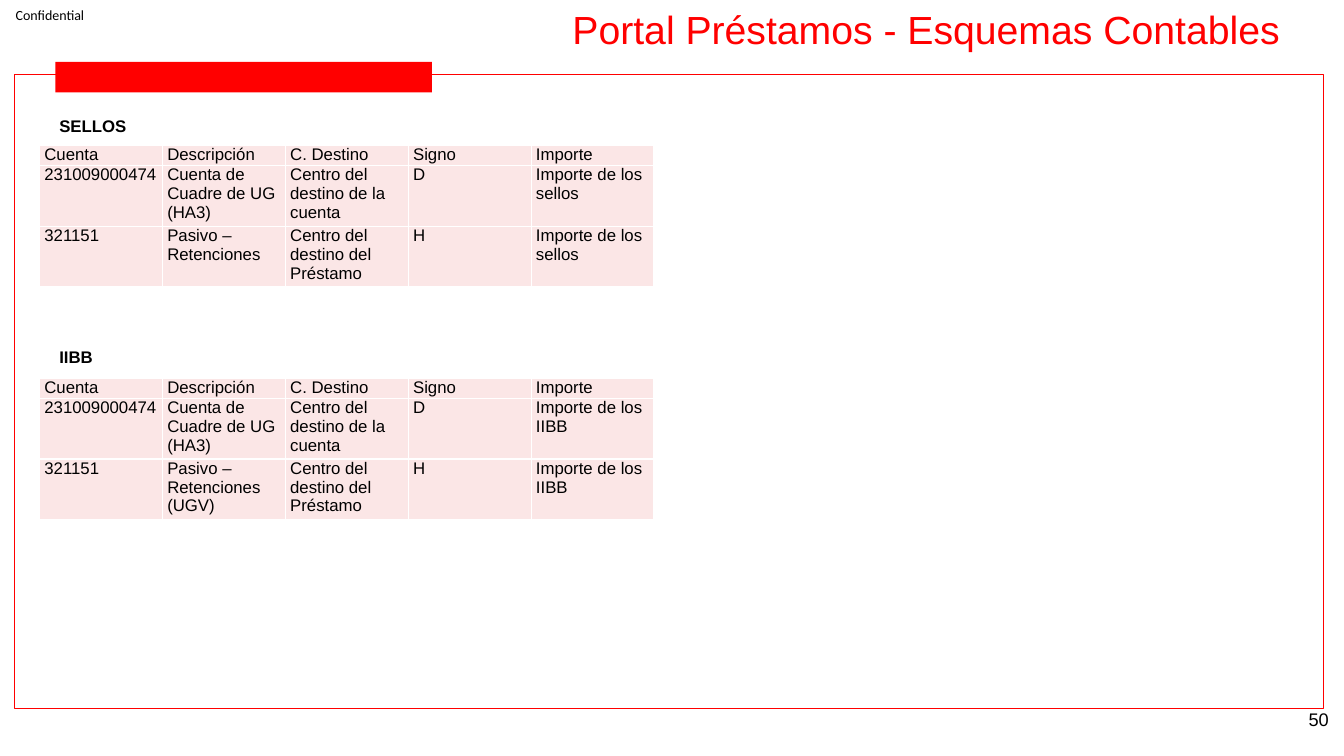
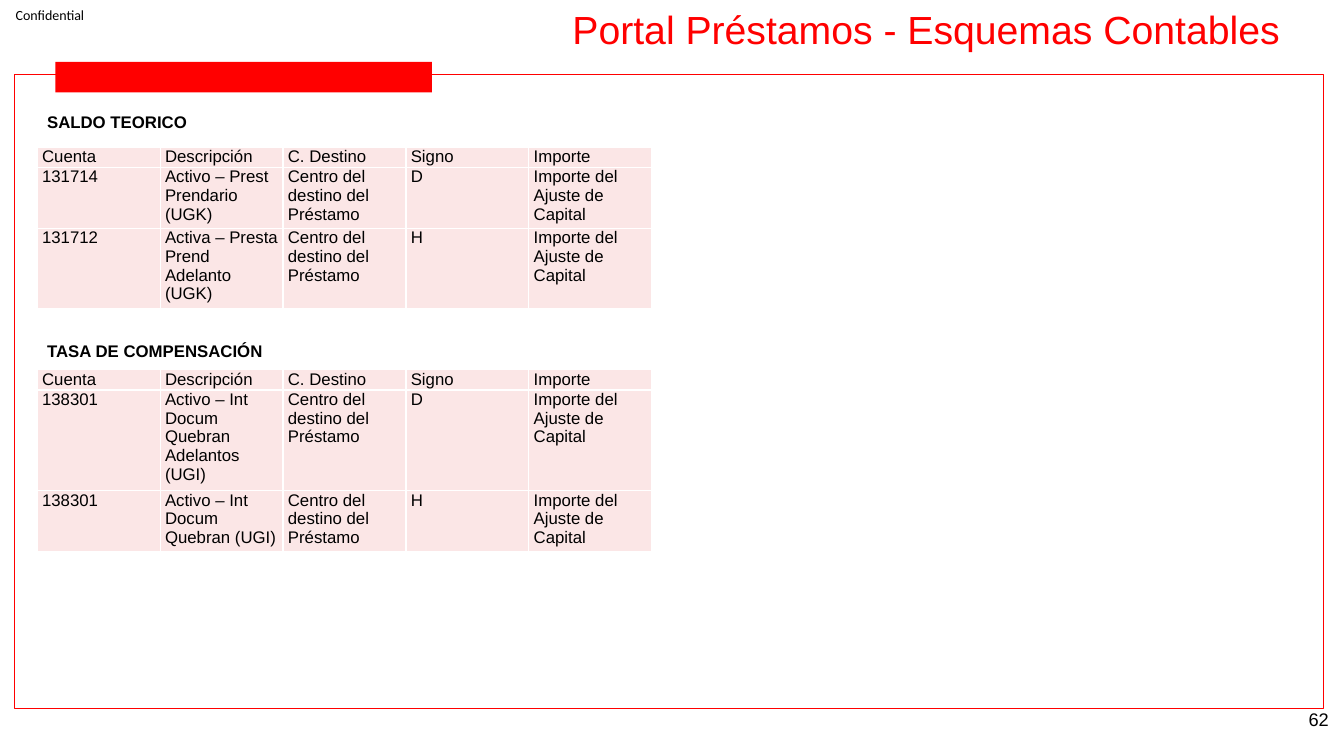
from pptx import Presentation
from pptx.dml.color import RGBColor
from pptx.enum.shapes import MSO_SHAPE
from pptx.enum.text import MSO_ANCHOR as ANCHOR, PP_ALIGN as ALIGN
from pptx.oxml import parse_xml
from pptx.oxml.ns import nsdecls
from pptx.util import Pt

RED = RGBColor(0xFF, 0x00, 0x00)
PINK = RGBColor(0xFB, 0xE6, 0xE6)
BLACK = RGBColor(0x00, 0x00, 0x00)
WHITE = RGBColor(0xFF, 0xFF, 0xFF)

TITLE = "Portal Préstamos - Esquemas Contables"
HEADER = ("Cuenta", "Descripción", "C. Destino", "Signo", "Importe")
COLUMN_WIDTH = 87.8
HEADER_HEIGHT, ROW_HEIGHT = 13.4, 43.4
CELL_INSET = 3.5

LOAN_CENTER = "Centro del destino del Préstamo"
ACCOUNT_CENTER = "Centro del destino de la cuenta"
CAPITAL = "Importe del Ajuste de Capital"
UG_ENTRY = ("231009000474", "Cuenta de Cuadre de UG (HA3)", ACCOUNT_CENTER, "D")

# Per slide: page number, then (caption, caption origin, table origin, entries)
SLIDES = [
    (50, [
        ("SELLOS", (35.3, 72), (28.2, 103.7), [
            (*UG_ENTRY, "Importe de los sellos"),
            ("321151", "Pasivo – Retenciones", LOAN_CENTER, "H",
             "Importe de los sellos"),
        ]),
        ("IIBB", (35.3, 236.9), (28.2, 270), [
            (*UG_ENTRY, "Importe de los IIBB"),
            ("321151", "Pasivo – Retenciones (UGV)", LOAN_CENTER, "H",
             "Importe de los IIBB"),
        ]),
    ]),
    (62, [
        ("SALDO TEORICO", (26.6, 69.1), (26.6, 105.1), [
            ("131714", "Activo – Prest Prendario (UGK)", LOAN_CENTER, "D", CAPITAL),
            ("131712", "Activa – Presta Prend Adelanto (UGK)", LOAN_CENTER, "H",
             CAPITAL),
        ]),
        ("TASA DE COMPENSACIÓN", (26.6, 232.6), (26.6, 264.2), [
            ("138301", "Activo – Int Docum Quebran Adelantos (UGI)", LOAN_CENTER,
             "D", CAPITAL),
            ("138301", "Activo – Int Docum Quebran (UGI)", LOAN_CENTER, "H", CAPITAL),
        ]),
    ]),
]


def style_paragraph(paragraph, size, color=BLACK, font="Arial", bold=False):
    paragraph.font.size = Pt(size)
    paragraph.font.name = font
    paragraph.font.bold = bold
    paragraph.font.color.rgb = color


def add_text(slide, text, box, size, insets=(7.2, 3.6), align=ALIGN.LEFT,
             anchor=ANCHOR.TOP, **style):
    frame = slide.shapes.add_textbox(*map(Pt, box)).text_frame
    frame.word_wrap = True
    frame.vertical_anchor = anchor
    frame.margin_left = frame.margin_right = Pt(insets[0])
    frame.margin_top = frame.margin_bottom = Pt(insets[1])
    paragraph = frame.paragraphs[0]
    paragraph.text = text
    paragraph.alignment = align
    style_paragraph(paragraph, size, **style)


def add_rectangle(slide, box):
    rectangle = slide.shapes.add_shape(MSO_SHAPE.RECTANGLE, *map(Pt, box))
    rectangle.shadow.inherit = False
    return rectangle


def add_page_layout(slide, page_number):
    # Confidentiality mark and title
    add_text(slide, "Confidential", (0, 0, 71.3, 20.9), 10, insets=(0, 0),
             align=ALIGN.CENTER, anchor=ANCHOR.MIDDLE, font="Calibri")
    add_text(slide, TITLE, (0, 0, 921, 46), 28, align=ALIGN.RIGHT, color=RED)

    # Outline with its red tab
    outline = add_rectangle(slide, (10.2, 53.3, 935.2, 453))
    outline.fill.background()
    outline.line.color.rgb = RED
    outline.line.width = Pt(0.75)
    tab = add_rectangle(slide, (39.6, 44.2, 269, 21.8))
    tab.fill.solid()
    tab.fill.fore_color.rgb = RED
    tab.line.fill.background()

    # Page number
    add_text(slide, str(page_number), (898.6, 499, 57.6, 41), 13,
             insets=(7.2, 7.2), align=ALIGN.RIGHT)


def add_cell_borders(cell):
    properties = cell._tc.get_or_add_tcPr()
    for side in ("lnL", "lnR", "lnT", "lnB"):
        properties.append(parse_xml(
            f'<a:{side} {nsdecls("a")} w="{Pt(1)}"><a:solidFill>'
            f'<a:srgbClr val="{WHITE}"/></a:solidFill></a:{side}>'))


def fill_cell(cell, text):
    cell.margin_left = cell.margin_right = Pt(CELL_INSET)
    cell.margin_top = cell.margin_bottom = 0
    add_cell_borders(cell)
    cell.fill.solid()
    cell.fill.fore_color.rgb = PINK
    cell.text = text
    style_paragraph(cell.text_frame.paragraphs[0], 12)


def add_accounting_scheme(slide, caption, caption_origin, table_origin, entries):
    rows = [HEADER, *entries]
    heights = [HEADER_HEIGHT] + [ROW_HEIGHT] * len(entries)
    size = (COLUMN_WIDTH * len(HEADER), sum(heights))
    scheme = slide.shapes.add_table(
        len(rows), len(HEADER), *map(Pt, table_origin + size)).table
    for column in scheme.columns:
        column.width = Pt(COLUMN_WIDTH)
    for r, (row, height) in enumerate(zip(rows, heights)):
        scheme.rows[r].height = Pt(height)
        for c, text in enumerate(row):
            fill_cell(scheme.cell(r, c), text)
    add_text(slide, caption, (*caption_origin, 440, 36), 12,
             anchor=ANCHOR.MIDDLE, bold=True)


def main():
    deck = Presentation()
    deck.slide_width, deck.slide_height = Pt(960), Pt(540)
    for page_number, schemes in SLIDES:
        slide = deck.slides.add_slide(deck.slide_layouts[6])
        add_page_layout(slide, page_number)
        for scheme in schemes:
            add_accounting_scheme(slide, *scheme)
    deck.save("out.pptx")


if __name__ == "__main__":
    main()
